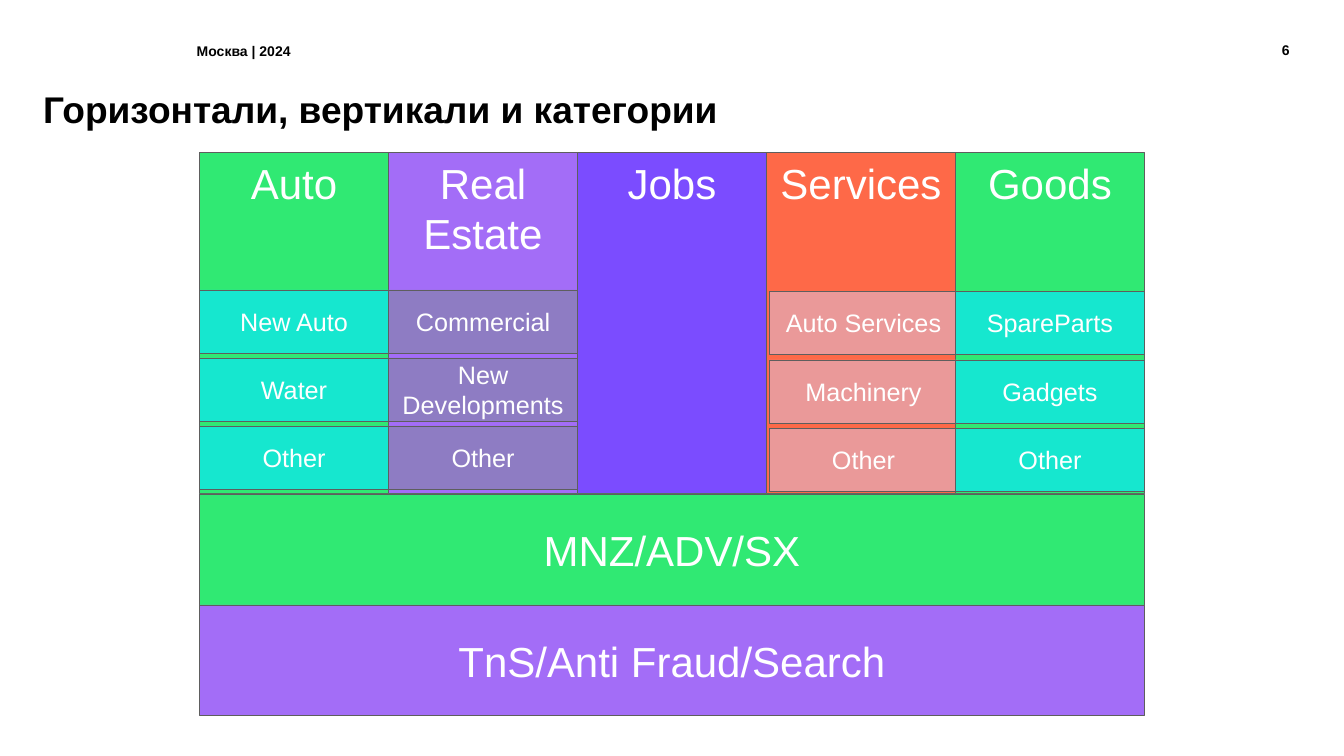
"""Build a slide of product columns with their tiles above two shared bands."""
from dataclasses import dataclass

from pptx import Presentation
from pptx.dml.color import RGBColor
from pptx.enum.shapes import MSO_SHAPE
from pptx.enum.text import MSO_ANCHOR, MSO_AUTO_SIZE, PP_ALIGN
from pptx.util import Pt


@dataclass(frozen=True)
class Theme:
    font: str = "Arial"
    black: str = "000000"
    white: str = "FFFFFF"
    edge: str = "5E5E5E"
    green: str = "30E973"
    purple: str = "A36DF7"
    blue: str = "7B4CFF"
    orange: str = "FE6948"
    teal: str = "16E7CF"
    mauve: str = "8E7CC3"
    pink: str = "EA9999"
    small: int = 20
    title: int = 53
    large: int = 60
    label: int = 36


THEME = Theme()
LEFT, TOP, WIDE, TALL = 285.12, 217.44, 270, 487.8
BAND_TOP, BAND_TALL = 705.6, 158.4
TILE_TALL = 90
HIGH = (414, 97.2)
LOW = (416.16, 97.92)

COLUMNS = [
    (["Auto"], THEME.green, THEME.teal, 0, HIGH, ["New Auto", "Water", "Other"]),
    (["Real", "Estate"], THEME.purple, THEME.mauve, 0, HIGH,
     ["Commercial", "New Developments", "Other"]),
    (["Jobs"], THEME.blue, None, 0, HIGH, []),
    (["Services"], THEME.orange, THEME.pink, 3.6, LOW,
     ["Auto Services", "Machinery", "Other"]),
    (["Goods"], THEME.green, THEME.teal, 0, LOW,
     ["SpareParts", "Gadgets", "Other"]),
]
BANDS = [("MNZ/ADV/SX", THEME.green), ("TnS/Anti Fraud/Search", THEME.purple)]


def write(shape, lines, size, color, align, anchor, inset, bold=False, space=None):
    frame = shape.text_frame
    frame.word_wrap = True
    frame.vertical_anchor = anchor
    frame.margin_left = frame.margin_right = Pt(inset[0])
    frame.margin_top = frame.margin_bottom = Pt(inset[1])
    for index, line in enumerate(lines):
        para = frame.add_paragraph() if index else frame.paragraphs[0]
        para.alignment = align
        if space:
            para.line_spacing = space
        run = para.add_run()
        run.text = line
        run.font.name = THEME.font
        run.font.size = Pt(size)
        run.font.bold = bold
        run.font.color.rgb = RGBColor.from_string(color)


def add_text(slide, text, box, size, align=PP_ALIGN.LEFT, anchor=MSO_ANCHOR.TOP,
             inset=(4.5, 4.5), space=None):
    shape = slide.shapes.add_textbox(*map(Pt, box))
    write(shape, [text], size, THEME.black, align, anchor, inset, True, space)
    shape.text_frame.auto_size = MSO_AUTO_SIZE.SHAPE_TO_FIT_TEXT


def add_block(slide, lines, box, fill, size, anchor=MSO_ANCHOR.MIDDLE):
    shape = slide.shapes.add_shape(MSO_SHAPE.RECTANGLE, *map(Pt, box))
    shape.shadow.inherit = False
    shape.fill.solid()
    shape.fill.fore_color.rgb = RGBColor.from_string(fill)
    shape.line.color.rgb = RGBColor.from_string(THEME.edge)
    shape.line.width = Pt(0.75)
    write(shape, lines, size, THEME.white, PP_ALIGN.CENTER, anchor, (7.2, 7.2))


def add_tiles(slide, left, names, fill, rows):
    start, step = rows
    for row, name in enumerate(names):
        box = (left, start + row * step, WIDE, TILE_TALL)
        add_block(slide, [name], box, fill, THEME.label)


def main():
    deck = Presentation()
    deck.slide_width, deck.slide_height = Pt(1920.24), Pt(1080)
    slide = deck.slides.add_slide(deck.slide_layouts[6])

    add_text(slide, "Москва | 2024", (276.48, 56.88, 199.44, 32.4), THEME.small)
    add_text(slide, "6", (1804.32, 55.44, 65.52, 32.4), THEME.small,
             PP_ALIGN.CENTER, MSO_ANCHOR.BOTTOM)
    add_text(slide, "Горизонтали, вертикали и категории",
             (54.72, 127.44, 1355.76, 64.8), THEME.title,
             inset=(7.2, 3.6), space=0.9)

    for col, (head, fill, *_) in enumerate(COLUMNS):
        box = (LEFT + col * WIDE, TOP, WIDE, TALL)
        add_block(slide, head, box, fill, THEME.large, MSO_ANCHOR.TOP)
    for row, (name, fill) in enumerate(BANDS):
        box = (LEFT, BAND_TOP + row * BAND_TALL, WIDE * len(COLUMNS), BAND_TALL)
        add_block(slide, [name], box, fill, THEME.large)
    for col, (_, _, tint, shift, rows, names) in enumerate(COLUMNS):
        add_tiles(slide, LEFT + col * WIDE + shift, names, tint, rows)

    deck.save("out.pptx")


if __name__ == "__main__":
    main()
